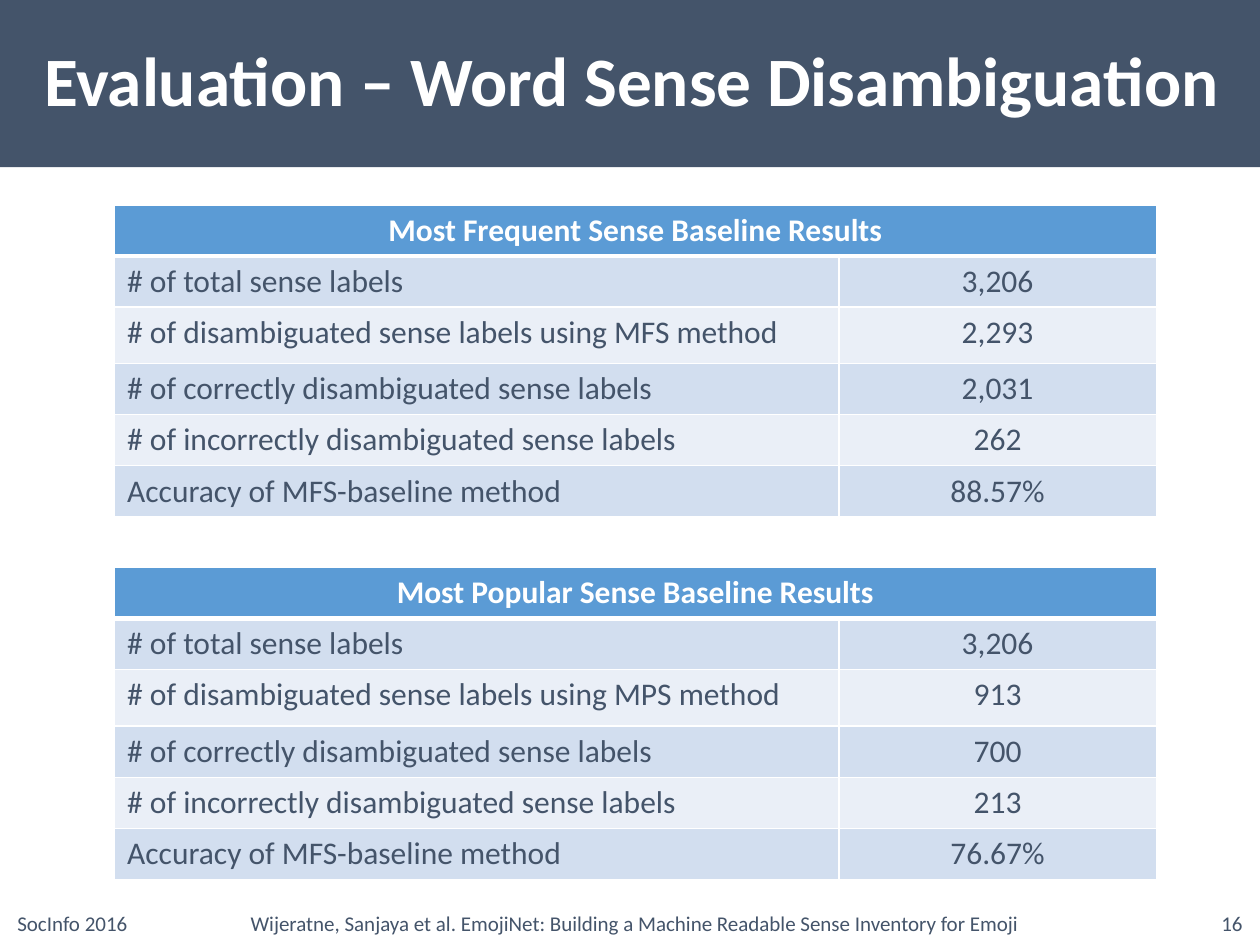
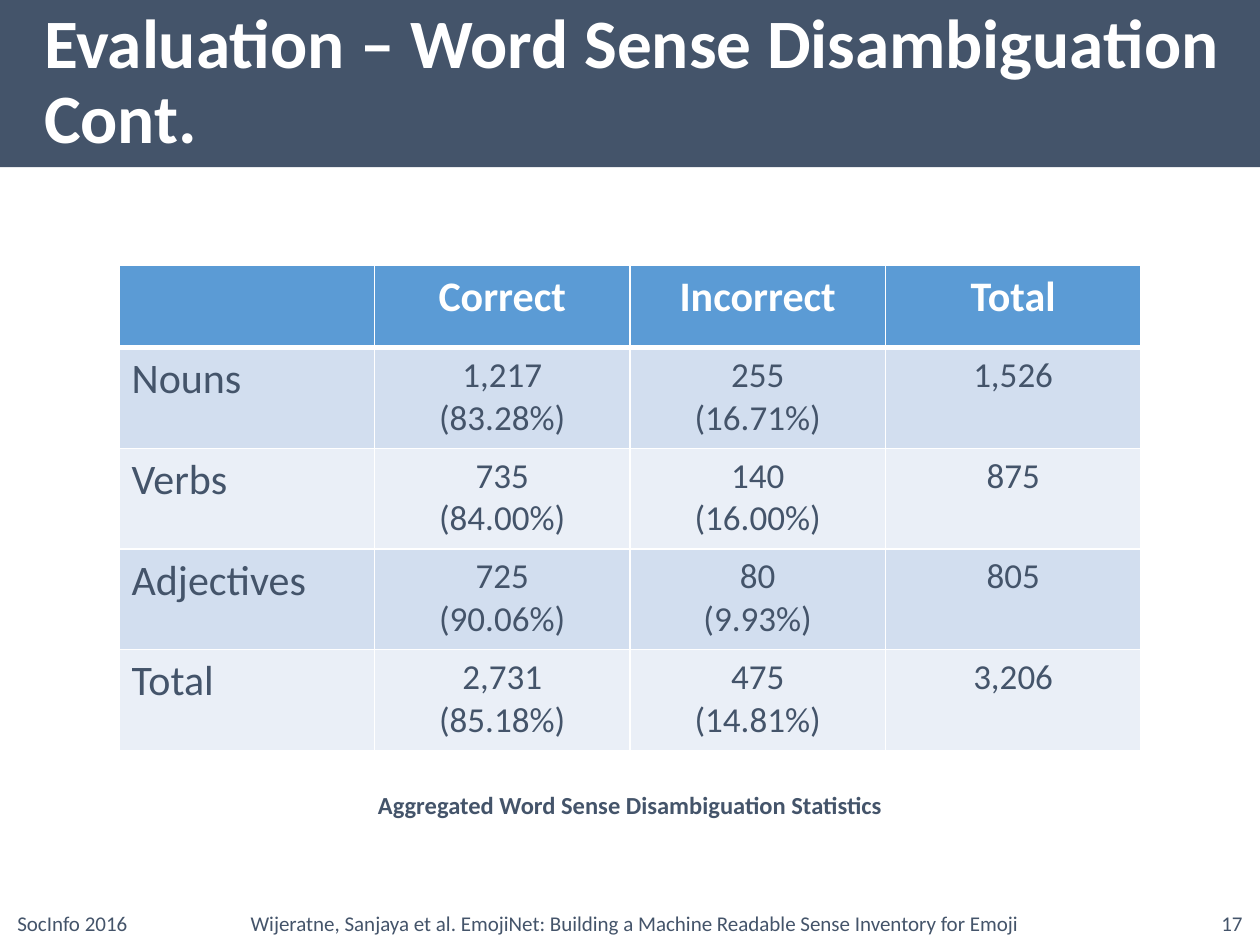
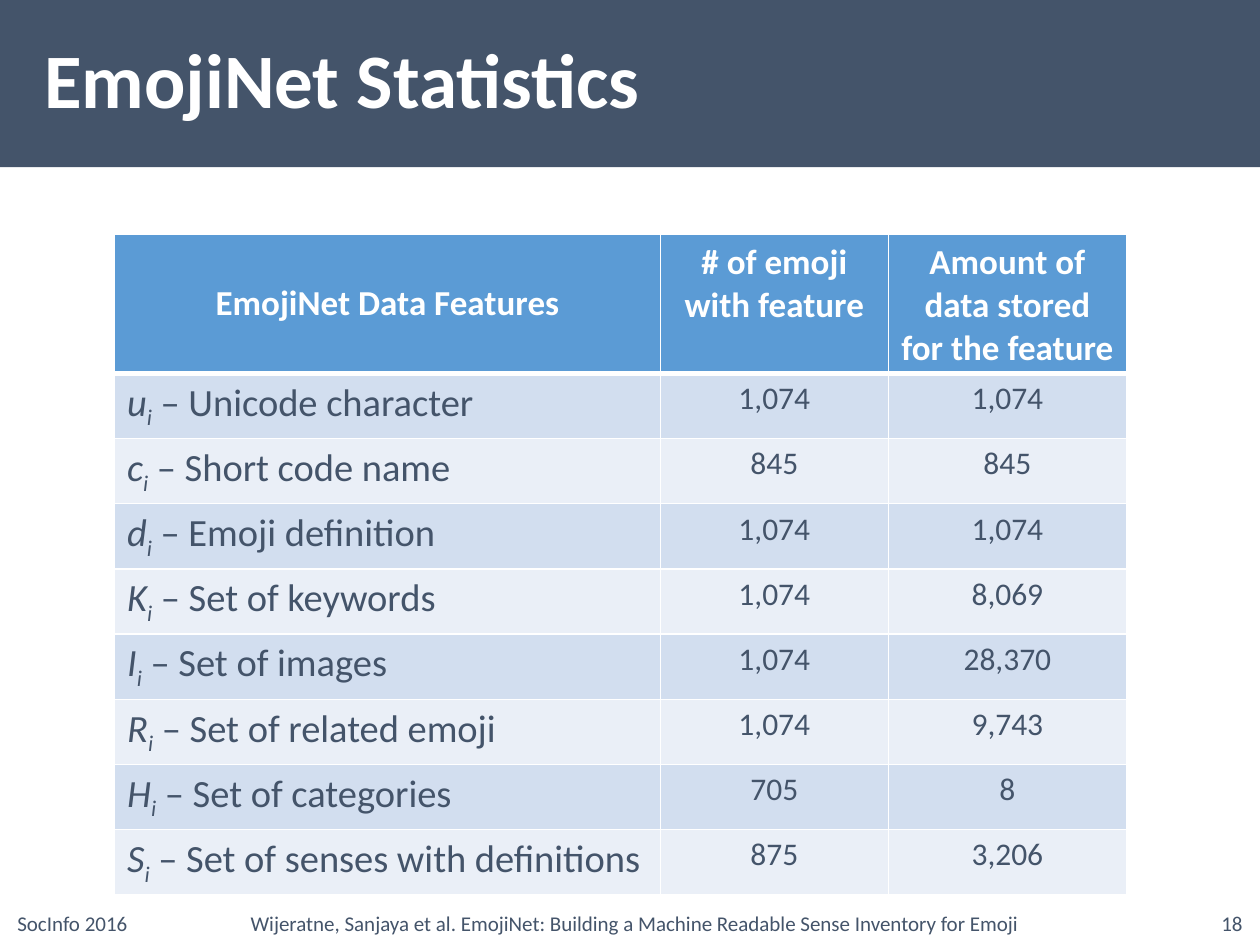
from lxml.etree import SubElement
from pptx import Presentation
from pptx.dml.color import RGBColor
from pptx.enum.shapes import MSO_SHAPE
from pptx.enum.text import MSO_ANCHOR, PP_ALIGN
from pptx.oxml.ns import qn
from pptx.util import Cm, Pt

FONT = "Calibri"
COLORS = {
    "slate": "44546A",
    "white": "FFFFFF",
    "header": "5B9BD5",
    "odd": "D2DEEF",
    "even": "EAEFF7",
}
WIDTH, HEIGHT = 25.4, 19.05
EVENT = "SocInfo 2016"
CITATION = ("Wijeratne, Sanjaya et al. EmojiNet: Building a Machine Readable "
            "Sense Inventory for Emoji")


def rgb(name):
    return RGBColor.from_string(COLORS[name])


def add_run(p, text, size, color="slate", bold=False, italic=False, sub=False):
    r = p.add_run()
    r.text = text
    r.font.name = FONT
    r.font.size = Pt(size)
    r.font.bold = bold
    r.font.italic = italic
    r.font.color.rgb = rgb(color)
    if sub:
        r._r.get_or_add_rPr().set("baseline", "-25000")


def add_label(s, box, text, size, align, bold=False):
    tf = s.shapes.add_textbox(*map(Cm, box)).text_frame
    tf.word_wrap = True
    tf.vertical_anchor = MSO_ANCHOR.MIDDLE
    p = tf.paragraphs[0]
    p.alignment = align
    add_run(p, text, size, bold=bold)


def add_title(s, box, text, size):
    sp = s.shapes.add_shape(MSO_SHAPE.RECTANGLE, *map(Cm, box))
    sp.shadow.inherit = False
    sp.fill.solid()
    sp.fill.fore_color.rgb = rgb("slate")
    sp.line.fill.background()
    tf = sp.text_frame
    tf.word_wrap = True
    tf.vertical_anchor = MSO_ANCHOR.MIDDLE
    p = tf.paragraphs[0]
    p.alignment = PP_ALIGN.LEFT
    p.line_spacing = 0.9
    p._p.get_or_add_pPr().set("marL", str(Cm(0.64)))
    add_run(p, text, size, "white", bold=True)


def add_footer(s, box, number):
    x, y, w, h = box
    side = 5.72
    add_label(s, (x + w - side, y, side, h), str(number), 12, PP_ALIGN.RIGHT)
    add_label(s, (x, y, side, h), EVENT, 12, PP_ALIGN.LEFT)
    add_label(s, (x + 3.2, y, 19, h), CITATION, 12, PP_ALIGN.CENTER)


def add_slide(prs, title, number, title_size=39.6):
    s = prs.slides.add_slide(prs.slide_layouts[6])
    add_title(s, (0, 0, WIDTH, 3.37), title, title_size)
    add_footer(s, (0.1, 18.1, WIDTH - 0.2, 1.02), number)
    return s


def set_borders(cell, row, col):
    edges = {
        "a:lnL": 1 if col == 0 else 0,
        "a:lnR": 1,
        "a:lnT": 1 if row == 0 else 0,
        "a:lnB": 3 if row == 0 else 1,
    }
    tcPr = cell._tc.get_or_add_tcPr()
    for tag, width in edges.items():
        if width:
            ln = SubElement(tcPr, qn(tag), w=str(Pt(width)))
            fill = SubElement(ln, qn("a:solidFill"))
            SubElement(fill, qn("a:srgbClr"), val=COLORS["white"])


def fill_cell(cell, content, row, col, sizes):
    header_size, label_size, value_size = sizes
    set_borders(cell, row, col)
    cell.fill.solid()
    band = "header" if row == 0 else "odd" if row % 2 else "even"
    cell.fill.fore_color.rgb = rgb(band)
    tf = cell.text_frame
    if isinstance(content, tuple):
        symbol, meaning = content
        p = tf.paragraphs[0]
        add_run(p, symbol, label_size, italic=True)
        add_run(p, "i", label_size, italic=True, sub=True)
        add_run(p, f" – {meaning}", label_size)
        return
    for i, line in enumerate(content.split("\n") if content else []):
        p = tf.add_paragraph() if i else tf.paragraphs[0]
        if row == 0:
            p.alignment = PP_ALIGN.CENTER
            add_run(p, line, header_size, "white", bold=True)
        elif col == 0:
            add_run(p, line, label_size)
        else:
            p.alignment = PP_ALIGN.CENTER
            add_run(p, line, value_size)


def add_data_table(s, origin, widths, heights, rows, sizes):
    box = (*origin, sum(widths), sum(heights))
    table = s.shapes.add_table(len(rows), len(widths), *map(Cm, box)).table
    for column, width in zip(table.columns, widths):
        column.width = Cm(width)
    for line, height in zip(table.rows, heights):
        line.height = Cm(height)
    for i, row in enumerate(rows):
        for j, content in enumerate(row):
            fill_cell(table.cell(i, j), content, i, j, sizes)
    return table


def add_baseline_table(s, origin, name, method, values):
    labels = [
        "# of total sense labels",
        f"# of disambiguated sense labels using {method} method",
        "# of correctly disambiguated sense labels",
        "# of incorrectly disambiguated sense labels",
        "Accuracy of MFS-baseline method",
    ]
    rows = [(f"{name} Sense Baseline Results", ""), *zip(labels, values)]
    heights = [1.03, 1.03, 1.14, 1.03, 1.03, 1.03]
    table = add_data_table(s, origin, [14.6, 6.4], heights, rows, (18, 18, 18))
    table.cell(0, 0).merge(table.cell(0, 1))


def baseline_slide(prs):
    s = add_slide(prs, "Evaluation – Word Sense Disambiguation", 16)
    add_baseline_table(s, (2.31, 4.13), "Most Frequent", "MFS",
                       ["3,206", "2,293", "2,031", "262", "88.57%"])
    add_baseline_table(s, (2.31, 11.44), "Most Popular", "MPS",
                       ["3,206", "913", "700", "213", "76.67%"])


def aggregate_slide(prs):
    s = add_slide(prs, "Evaluation – Word Sense Disambiguation Cont.", 17)
    rows = [
        ("", "Correct", "Incorrect", "Total"),
        ("Nouns", "1,217\n(83.28%)", "255\n(16.71%)", "1,526"),
        ("Verbs", "735\n(84.00%)", "140\n(16.00%)", "875"),
        ("Adjectives", "725\n(90.06%)", "80\n(9.93%)", "805"),
        ("Total", "2,731\n(85.18%)", "475\n(14.81%)", "3,206"),
    ]
    add_data_table(s, (2.4, 5.34), [5.15] * 4, [1.67] + [2.03] * 4, rows,
                   (24, 24, 20))
    add_label(s, (0, 15.72, WIDTH, 1.02),
              "Aggregated Word Sense Disambiguation Statistics", 14,
              PP_ALIGN.CENTER, bold=True)


def statistics_slide(prs):
    s = add_slide(prs, "EmojiNet Statistics", 18, 44)
    rows = [
        ("EmojiNet Data Features", "# of emoji with feature",
         "Amount of data stored for the feature"),
        (("u", "Unicode character"), "1,074", "1,074"),
        (("c", "Short code name"), "845", "845"),
        (("d", "Emoji definition"), "1,074", "1,074"),
        (("K", "Set of keywords"), "1,074", "8,069"),
        (("I", "Set of images"), "1,074", "28,370"),
        (("R", "Set of related emoji"), "1,074", "9,743"),
        (("H", "Set of categories"), "705", "8"),
        (("S", "Set of senses with definitions"), "875", "3,206"),
    ]
    table = add_data_table(s, (2.31, 4.73), [11, 4.6, 4.8],
                           [2.5] + [1.23] * 8, rows, (20, 22, 18))
    table.cell(0, 0).vertical_anchor = MSO_ANCHOR.MIDDLE


prs = Presentation()
prs.slide_width, prs.slide_height = Cm(WIDTH), Cm(HEIGHT)
baseline_slide(prs)
aggregate_slide(prs)
statistics_slide(prs)
prs.save("out.pptx")
